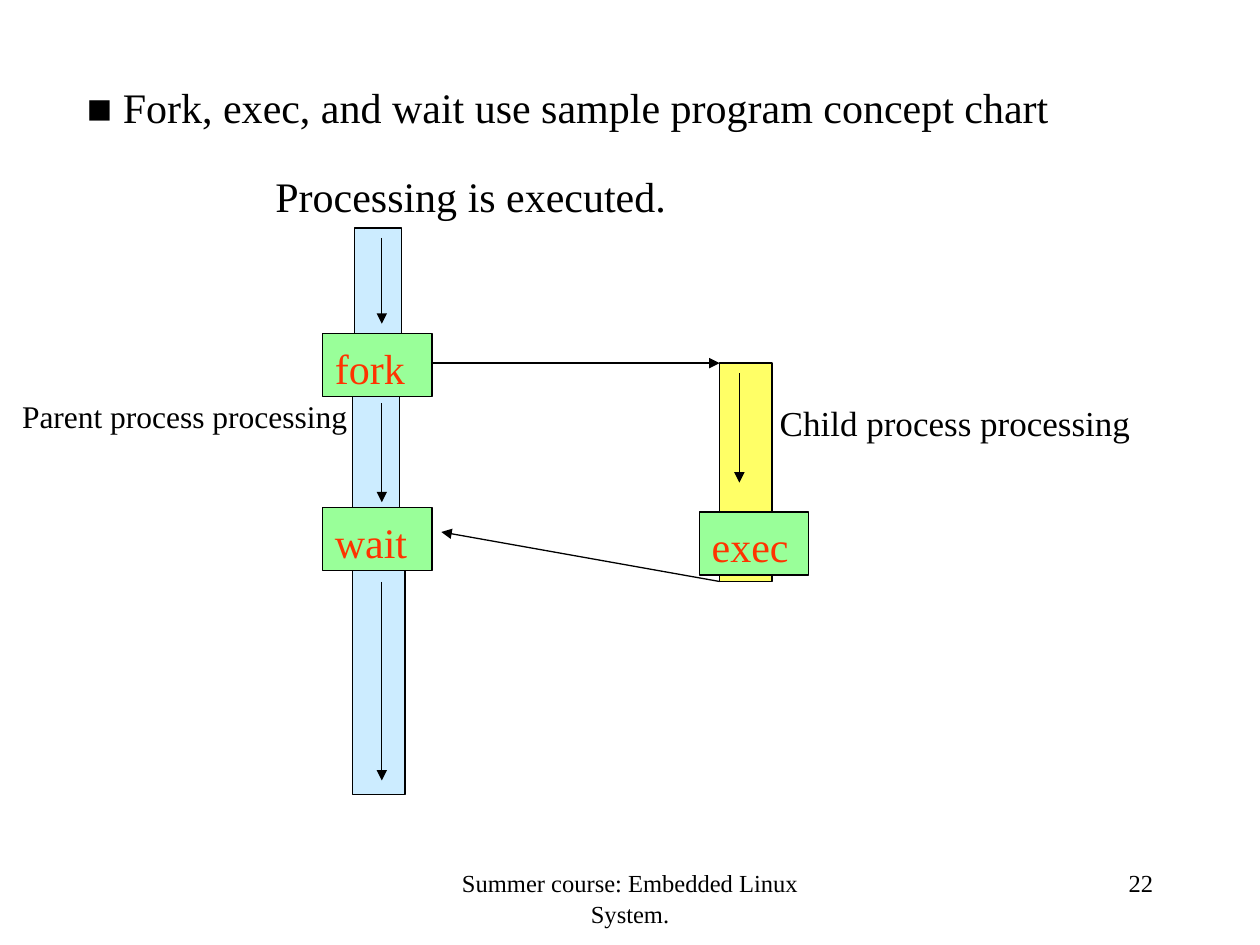
from pptx import Presentation
from pptx.dml.color import RGBColor
from pptx.enum.shapes import MSO_CONNECTOR, MSO_SHAPE
from pptx.enum.text import MSO_ANCHOR, PP_ALIGN
from pptx.oxml.ns import qn
from pptx.util import Pt
from lxml import etree

RECT = MSO_SHAPE.RECTANGLE
STRAIGHT = MSO_CONNECTOR.STRAIGHT
TOP, MIDDLE = MSO_ANCHOR.TOP, MSO_ANCHOR.MIDDLE
LEFT, CENTER, RIGHT = PP_ALIGN.LEFT, PP_ALIGN.CENTER, PP_ALIGN.RIGHT

BLACK = RGBColor(0x00, 0x00, 0x00)
RED = RGBColor(0xFF, 0x33, 0x00)
BLUE = RGBColor(0xCC, 0xEC, 0xFF)
YELLOW = RGBColor(0xFF, 0xFF, 0x66)
GREEN = RGBColor(0x99, 0xFF, 0x99)


def write(shape, text, size=24, color=BLACK, align=LEFT, anchor=TOP):
    tf = shape.text_frame
    tf.word_wrap = True
    tf.vertical_anchor = anchor
    tf.margin_left = tf.margin_right = Pt(7.2)
    tf.margin_top = tf.margin_bottom = Pt(3.6)
    p = tf.paragraphs[0]
    p.alignment = align
    p.line_spacing = 1.05
    p.space_before = Pt(0)
    r = p.add_run()
    r.text = text
    r.font.name = "Times New Roman"
    r.font.size = Pt(size)
    r.font.color.rgb = color


class Diagram:
    line_width = Pt(0.75)
    step_size = (62.6, 36)

    def __init__(self, s):
        self.s = s

    def title(self, text, x, y, w, h):
        sp = self.s.shapes.title
        sp.left, sp.top, sp.width, sp.height = map(Pt, (x, y, w, h))
        write(sp, text, anchor=MIDDLE)

    def label(self, text, x, y, w, h, **fmt):
        sp = self.s.shapes.add_textbox(*map(Pt, (x, y, w, h)))
        write(sp, text, **fmt)

    def bar(self, x, y, w, h, fill):
        sp = self.s.shapes.add_shape(RECT, *map(Pt, (x, y, w, h)))
        sp.shadow.inherit = False
        sp.fill.solid()
        sp.fill.fore_color.rgb = fill
        sp.line.color.rgb = BLACK
        sp.line.width = self.line_width
        return sp

    def step(self, text, x, y):
        write(self.bar(x, y, *self.step_size, GREEN), text, color=RED)

    def arrow(self, x1, y1, x2, y2):
        c = self.s.shapes.add_connector(STRAIGHT, *map(Pt, (x1, y1, x2, y2)))
        c.line.color.rgb = BLACK
        c.line.width = self.line_width
        ln = c.line._get_or_add_ln()
        etree.SubElement(ln, qn("a:tailEnd"), type="triangle")
        etree.SubElement(c._element.spPr, qn("a:effectLst"))


def main():
    prs = Presentation()
    prs.slide_width, prs.slide_height = Pt(720), Pt(540)
    d = Diagram(prs.slides.add_slide(prs.slide_layouts[5]))

    d.title("■ Fork, exec, and wait use sample program concept chart",
            42.5, 37.5, 601, 45.5)

    parent_x, child_x = 201.5, 411.2
    d.bar(parent_x, 219, 27, 77, BLUE)
    d.bar(parent_x + 1, 130.3, 27, 77, BLUE)
    d.bar(parent_x, 304, 30, 150, BLUE)
    d.bar(child_x, 207.5, 30, 124.7, YELLOW)

    d.label("Processing is executed.", 150.3, 92.2, 249, 36)
    d.label("Child process processing", 438.5, 224.6, 230.4, 31.7, size=20)
    d.label("Parent process processing", 5.5, 222.5, 205.2, 28.8, size=18)

    flow_x = 218.2
    for y1, y2 in ((136, 185), (230.4, 287), (332.5, 446)):
        d.arrow(flow_x, y1, flow_x, y2)
    d.arrow(422.5, 213.2, 422.5, 275.8)
    d.arrow(247, 207.5, child_x, 207.5)
    d.arrow(child_x, 332.3, 252.2, 304)

    d.step("fork", 184.3, 190.6)
    d.step("wait", 184.3, 290)
    d.step("exec", 399.6, 292.6)

    d.label("22", 516.2, 491.8, 149.8, 36, size=14, align=RIGHT)
    d.label("Summer course: Embedded Linux System.",
            246, 491.8, 228.2, 36, size=14, align=CENTER)

    prs.save("out.pptx")


if __name__ == "__main__":
    main()
